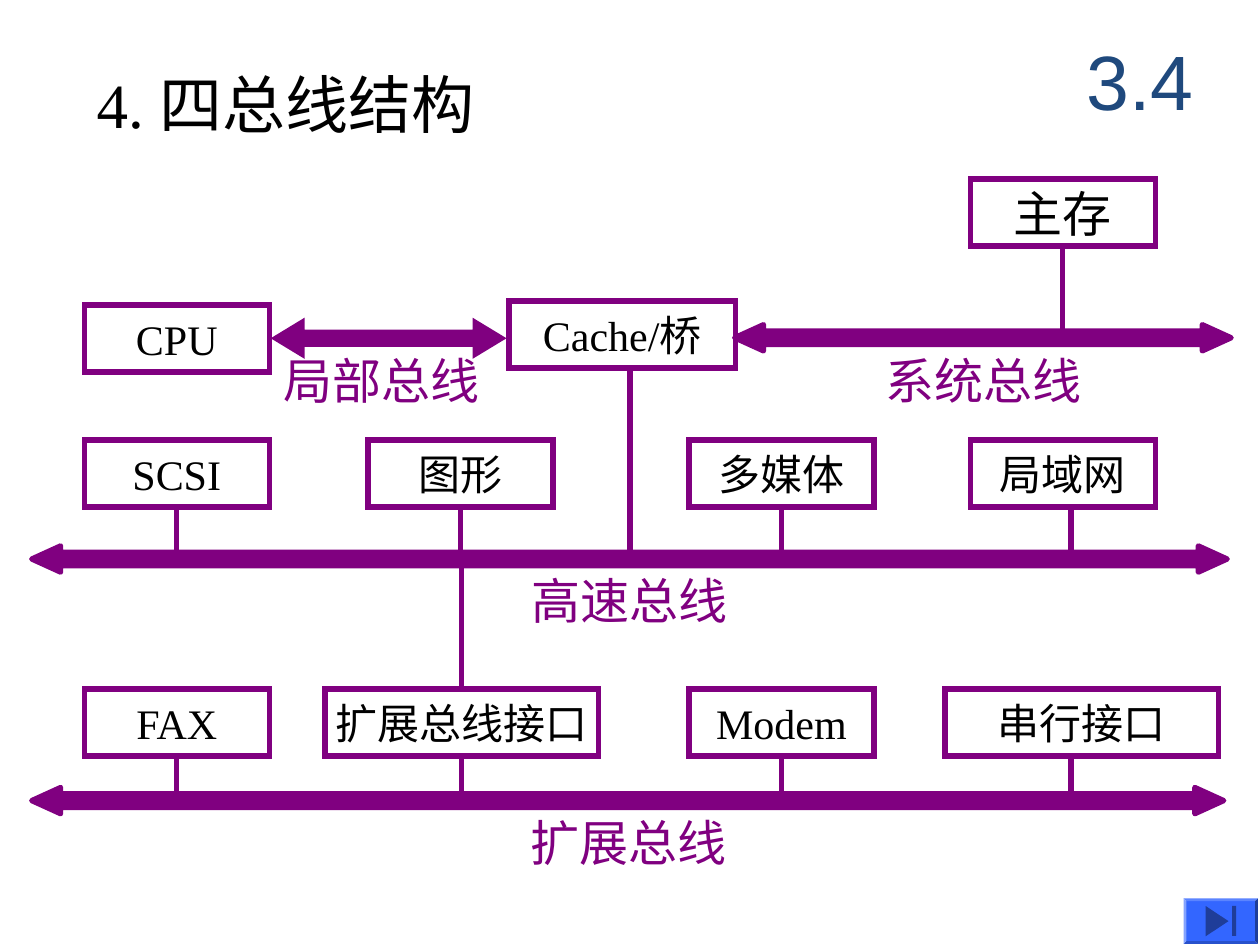
"""Build the slide on the four-bus structure of a computer."""
import pptx
import pptx.util
import pptx.dml.color
import pptx.enum.shapes
import pptx.enum.text
import pptx.oxml.ns
import lxml.etree

Cm = pptx.util.Cm
SHAPE = pptx.enum.shapes.MSO_SHAPE
ALIGN = pptx.enum.text.PP_ALIGN
ANCHOR = pptx.enum.text.MSO_ANCHOR

PURPLE, BLACK, NAVY = "800080", "000000", "1F497D"
BUTTON_BLUE, ICON_BLUE = "3366FF", "1F3D99"
LATIN, CHINESE = "Times New Roman", "Calibri"

BOX_HEIGHT, NARROW, MEDIUM, WIDE = 1.35, 3.73, 4.57, 5.51
LABEL_WIDTH, LABEL_HEIGHT = 4.2, 1.19
BOXES = [
    ("主存", 19.56, 3.61, NARROW, CHINESE, 28),
    ("CPU", 1.7, 6.15, NARROW, LATIN, 24),
    ("Cache/桥", 10.26, 6.07, MEDIUM, LATIN, 24),
    ("SCSI", 1.7, 8.87, NARROW, LATIN, 24),
    ("图形", 7.42, 8.87, NARROW, CHINESE, 24),
    ("多媒体", 13.89, 8.87, NARROW, CHINESE, 24),
    ("局域网", 19.56, 8.87, NARROW, CHINESE, 24),
    ("FAX", 1.7, 13.89, NARROW, LATIN, 24),
    ("扩展总线接口", 6.55, 13.89, WIDE, CHINESE, 24),
    ("Modem", 13.89, 13.89, NARROW, LATIN, 24),
    ("串行接口", 19.05, 13.89, WIDE, CHINESE, 24),
]

BUS_SHAPE = (0.53, 0.52, 1.1, "round")
LOCAL_SHAPE = (0.64, 0.375, 0.824, "miter")
BUSES = {
    "局部总线": (5.56, 6.82, 4.55, LOCAL_SHAPE, 5.72, 7.06),
    "系统总线": (14.81, 6.81, 10.01, BUS_SHAPE, 17.86, 7.06),
    "高速总线": (0.64, 11.27, 24.1, BUS_SHAPE, 10.72, 11.51),
    "扩展总线": (0.64, 16.14, 24.03, BUS_SHAPE, 10.69, 16.38),
}

CENTRED_DROPS = [
    ("主存", "系统总线"),
    ("SCSI", "高速总线"),
    ("图形", "高速总线"),
    ("多媒体", "高速总线"),
    ("FAX", "扩展总线"),
    ("扩展总线接口", "扩展总线"),
    ("Modem", "扩展总线"),
]
OFFSET_DROPS = [
    ("Cache/桥", "高速总线", 12.7),
    ("局域网", "高速总线", 21.59),
    ("串行接口", "扩展总线", 21.59),
]


def color(value):
    return pptx.dml.color.RGBColor.from_string(value)


def set_fill(shape, value):
    shape.shadow.inherit = False
    shape.fill.solid()
    shape.fill.fore_color.rgb = color(value)


def set_line(shape, join="miter"):
    shape.line.color.rgb = color(PURPLE)
    shape.line.width = pptx.util.Pt(3)
    element = lxml.etree.SubElement(shape.line._get_or_add_ln(), pptx.oxml.ns.qn("a:" + join))
    if join == "miter":
        element.set("lim", "800000")


def write(shape, text, font, size, value, align=ALIGN.LEFT, anchor=ANCHOR.TOP, inset=(0, 0), wrap=False):
    frame = shape.text_frame
    frame.word_wrap = wrap
    frame.vertical_anchor = anchor
    frame.margin_left = frame.margin_right = Cm(inset[0])
    frame.margin_top = frame.margin_bottom = Cm(inset[1])
    paragraph = frame.paragraphs[0]
    paragraph.text = text
    paragraph.alignment = align
    paragraph.font.name = font
    paragraph.font.size = pptx.util.Pt(size)
    paragraph.font.color.rgb = color(value)


def add_preset(slide, preset, left, top, width, height):
    return slide.shapes.add_shape(preset, Cm(left), Cm(top), Cm(width), Cm(height))


def add_text(slide, left, top, width, height, *content, **layout):
    shape = slide.shapes.add_textbox(Cm(left), Cm(top), Cm(width), Cm(height))
    write(shape, *content, **layout)


def add_box(slide, text, left, top, width, font, size):
    box = add_preset(slide, SHAPE.RECTANGLE, left, top, width, BOX_HEIGHT)
    box.shadow.inherit = False
    box.fill.background()
    set_line(box)
    write(box, text, font, size, BLACK, ALIGN.CENTER, ANCHOR.MIDDLE)
    return box


def add_bus(slide, name, left, middle, width, form, label_left, label_top):
    height, shaft, head, join = form
    bus = add_preset(slide, SHAPE.LEFT_RIGHT_ARROW, left, middle - height / 2, width, height)
    bus.adjustments[0], bus.adjustments[1] = shaft, head
    set_fill(bus, PURPLE)
    set_line(bus, join)
    add_text(slide, label_left, label_top, LABEL_WIDTH, LABEL_HEIGHT, name, CHINESE, 28, PURPLE, wrap=True)


def add_link(slide, x, start, end):
    link = slide.shapes.add_connector(pptx.enum.shapes.MSO_CONNECTOR.STRAIGHT, x, start, x, end)
    set_line(link, "round")
    properties = link._element.spPr
    lxml.etree.SubElement(properties, pptx.oxml.ns.qn("a:effectLst"))
    return link


def add_links(slide, boxes):
    for box_name, bus_name in CENTRED_DROPS:
        box = boxes[box_name]
        link = add_link(slide, box.left + box.width // 2, box.top + box.height, Cm(BUSES[bus_name][1]))
        link.begin_connect(box, 2)
    for box_name, bus_name, x in OFFSET_DROPS:
        box = boxes[box_name]
        add_link(slide, Cm(x), box.top + box.height, Cm(BUSES[bus_name][1]))
    interface = boxes["扩展总线接口"]
    riser = add_link(slide, interface.left + interface.width // 2, Cm(BUSES["高速总线"][1]), interface.top)
    riser.end_connect(interface, 0)


def add_end_button(slide):
    button = add_preset(slide, SHAPE.BEVEL, 23.86, 18.11, 1.5, 0.92)
    button.adjustments[0] = 0.06
    triangle = add_preset(slide, SHAPE.ISOSCELES_TRIANGLE, 24.23, 18.34, 0.61, 0.46)
    triangle.rotation = 90
    bar = add_preset(slide, SHAPE.RECTANGLE, 24.84, 18.26, 0.08, 0.61)
    for shape, value in ((button, BUTTON_BLUE), (triangle, ICON_BLUE), (bar, ICON_BLUE)):
        set_fill(shape, value)
        shape.line.fill.background()


def main():
    presentation = pptx.Presentation()
    presentation.slide_width, presentation.slide_height = Cm(25.4), Cm(19.05)
    slide = presentation.slides.add_slide(presentation.slide_layouts[6])
    add_text(slide, 1.7, 1.19, 8.43, 1.78, "4. 四总线结构", LATIN, 36, BLACK, inset=(0.25, 0.13))
    add_text(slide, 21.39, 0.43, 3.18, 2.34, "3.4", "Arial", 44, NAVY,
             align=ALIGN.CENTER, anchor=ANCHOR.MIDDLE, inset=(0.25, 0.13), wrap=True)
    boxes = {row[0]: add_box(slide, *row) for row in BOXES}
    for name, bus in BUSES.items():
        add_bus(slide, name, *bus)
    add_links(slide, boxes)
    add_end_button(slide)
    presentation.save("out.pptx")


if __name__ == "__main__":
    main()
